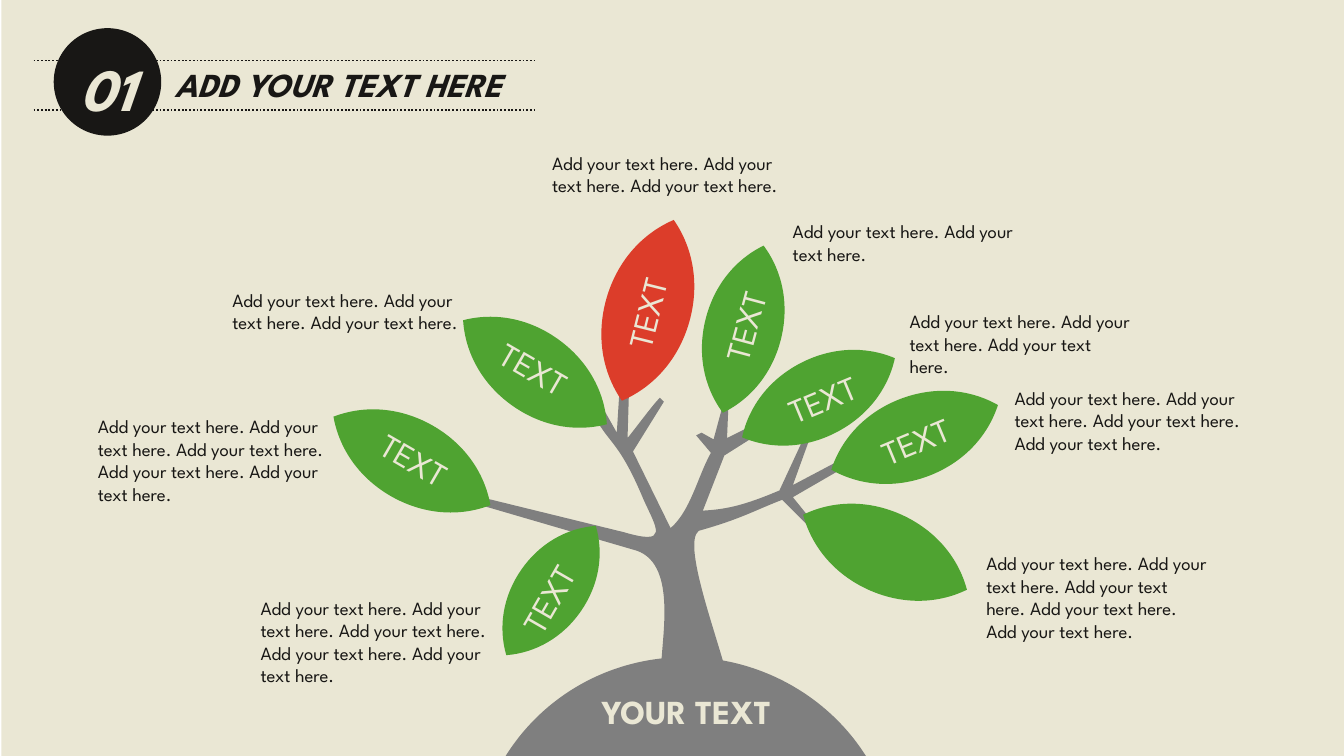
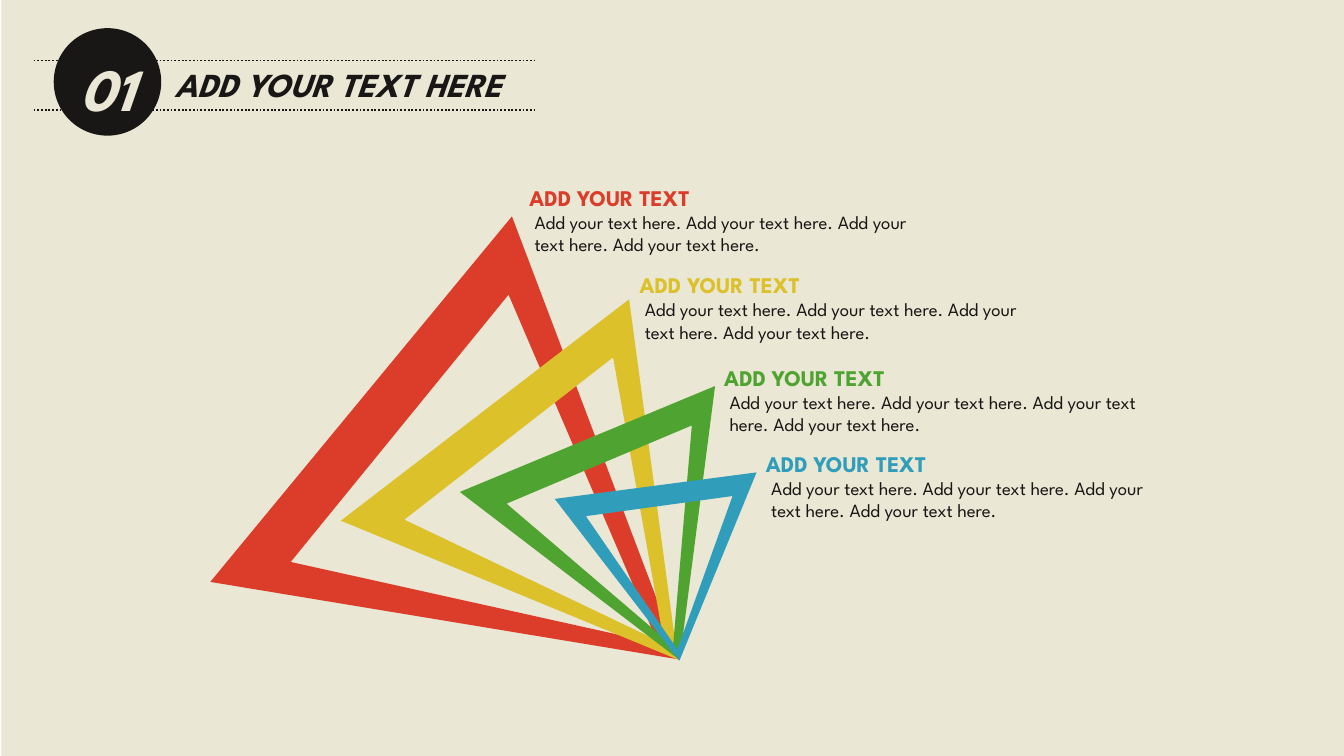
"""Build a tree diagram slide and a nested triangle slide."""
from dataclasses import dataclass

from lxml.etree import SubElement
from pptx import Presentation
from pptx.dml.color import RGBColor as Rgb
from pptx.enum.dml import MSO_LINE as Dash
from pptx.enum.shapes import MSO_CONNECTOR as Link, MSO_SHAPE as Kind
from pptx.enum.text import MSO_AUTO_SIZE as Auto
from pptx.oxml.ns import qn
from pptx.util import Cm, Pt


@dataclass(frozen=True)
class Theme:
    font: str = "League Spartan"
    cream: str = "EAE7D4"
    ink: str = "181715"
    gray: str = "7F7F7F"
    red: str = "DC3D2A"
    gold: str = "DCC12A"
    green: str = "4FA331"
    blue: str = "309EBA"
    body: int = 10
    head: int = 12
    title: int = 18
    number: int = 32


LOOK = Theme()
TITLE, NUMBER = "ADD YOUR TEXT HERE", "01"
PHRASE, TAG, ROOT, HEAD = "Add your text here.", "TEXT", "YOUR TEXT", "ADD YOUR TEXT"
UNIT = (0, 0, 1, 1)
TALL = {2: 0.44, 3: 0.6, 4: 0.77, 5: 0.77}

TREE = [
    (4.92, 4.98), (4.92, 4.75, 5.05, 4.17, 4.71, 4.09), (3.58, 3.76), (3.58, 3.7),
    (4.64, 3.96), (4.98, 4.06, 4.89, 3.94, 4.79, 3.72),
    (4.61, 3.29, 4.54, 3.31, 4.43, 3.11), (4.5, 3.06), (4.59, 3.22), (4.61, 2.9),
    (4.68, 2.92), (4.67, 3.26), (4.75, 3.16, 4.86, 3.01, 4.91, 2.96), (4.94, 2.99),
    (4.71, 3.36), (4.99, 3.93), (5.14, 3.8, 5.19, 3.55, 5.29, 3.37), (5.18, 3.24),
    (5.22, 3.22), (5.31, 3.27), (5.38, 3.01), (5.42, 3.03), (5.41, 3.26),
    (5.57, 3.18), (5.58, 3.27), (5.39, 3.39), (5.23, 3.8),
    (5.41, 3.79, 5.54, 3.76, 5.8, 3.65), (5.99, 3.24), (6.03, 3.25), (5.9, 3.61),
    (6.24, 3.43), (6.28, 3.48), (5.9, 3.7), (6.11, 3.96), (6.08, 3.98),
    (5.82, 3.72), (5.61, 3.8, 5.52, 3.86, 5.2, 3.95),
    (5.08, 4.04, 5.31, 4.66, 5.4, 4.99),
]
DOME = [(3.73, 5.68), (4.01, 5.19, 4.53, 4.89, 5.1, 4.89),
        (5.66, 4.89, 6.19, 5.19, 6.47, 5.67)]
LEAF = [(0.5, 0), (0.82, 0.12, 1, 0.3, 1, 0.5), (1, 0.7, 0.82, 0.88, 0.5, 1),
        (0.18, 0.88, 0, 0.7, 0, 0.5), (0, 0.3, 0.18, 0.12, 0.5, 0)]
FRAME = [[(0.52, 0.19), (0.16, 0.92), (0.95, 0.97)], [(0.5, 0), (1, 1), (0, 1)]]

# leaf box, leaf turn, fill, tag place and turn, note place, width and phrase count
LEAVES = [
    ((4.5, 1.61, 0.64, 1.4), 16, LOOK.red, (4.44, 2.11, 284), (4.01, 1.08, 1.88, 3)),
    ((3.83, 3.81, 0.54, 1.17), 34.7, LOOK.green, (3.71, 4.24, 300), (1.84, 4.39, 1.88, 5)),
    ((5.24, 1.81, 0.58, 1.28), 13.7, LOOK.green, (5.17, 2.21, 285), (5.8, 1.59, 1.88, 2)),
    ((6.5, 2.59, 0.61, 1.33), 68.8, LOOK.green, (6.45, 3.07, 337.4), (7.45, 2.83, 1.88, 4)),
    ((6.28, 3.44, 0.61, 1.34), 114.6, LOOK.green, None, (7.24, 4.06, 1.87, 5)),
    ((5.8, 2.32, 0.58, 1.28), 242.6, LOOK.green, (5.76, 2.76, 337.4), (6.67, 2.26, 1.87, 3)),
    ((3.68, 2.11, 0.6, 1.32), 125.9, LOOK.green, (3.61, 2.55, 30), (1.63, 2.1, 1.88, 3)),
    ((2.76, 2.76, 0.61, 1.34), 119.4, LOOK.green, (2.72, 3.23, 30), (0.63, 3.04, 1.88, 5)),
]
RINGS = [
    ((1.79, 1.59, 3.54, 3.05), 9.4, LOOK.red, (3.84, 1.32), 3.2),
    ((2.88, 2.14, 2.71, 2.34), 22.4, LOOK.gold, (4.66, 1.97), 3.16),
    ((3.75, 2.69, 2.06, 1.78), 37.4, LOOK.green, (5.29, 2.66), 3.23),
    ((4.35, 3.26, 1.52, 1.31), 52.4, LOOK.blue, (5.6, 3.3), 3.16),
]


def inch(n):
    return Cm(2.54 * n)


def paint(shape, fill):
    shape.shadow.inherit = False
    shape.fill.solid()
    shape.fill.fore_color.rgb = Rgb.from_string(fill)
    shape.line.fill.background()


def block(slide, kind, box, fill):
    paint(slide.shapes.add_shape(kind, *map(inch, box)), fill)


def draw(slide, loops, box, fill, turn=0):
    left, top, wide, high = box

    def place(x, y):
        return inch(left + x * wide), inch(top + y * high)

    pen = slide.shapes.build_freeform(*place(*loops[0][0]), scale=1)
    for i, loop in enumerate(loops):
        if i:
            pen.move_to(*place(*loop[0]))
        dots = [place(*seg[k:k + 2]) for seg in loop[1:] for k in range(0, len(seg), 2)]
        pen.add_line_segments(dots, close=True)
    form = pen.convert_to_shape()
    steps = iter(list(form.element.iter(qn("a:lnTo"))))
    for seg in (seg for loop in loops for seg in loop[1:]):
        step = next(steps)
        if len(seg) == 6:
            step.tag = qn("a:cubicBezTo")
            for _ in range(2):
                spare = next(steps)
                step.append(spare[0])
                spare.getparent().remove(spare)
    form.rotation = turn
    paint(form, fill)
    return form


def write(slide, text, box, size, color, bold=False, slant=False, wrap=False, turn=0):
    area = slide.shapes.add_textbox(*map(inch, box))
    area.rotation = turn
    frame = area.text_frame
    frame.word_wrap = wrap
    frame.auto_size = Auto.SHAPE_TO_FIT_TEXT
    frame.text = text
    font = frame.paragraphs[0].font
    font.name, font.size = LOOK.font, Pt(size)
    font.bold, font.italic = bold, slant
    font.color.rgb = Rgb.from_string(color)


def note(slide, x, y, wide, high, count):
    text = " ".join([PHRASE] * count)
    write(slide, text, (x, y, wide, high), LOOK.body, LOOK.ink, wrap=True)


def base(deck):
    slide = deck.slides.add_slide(deck.slide_layouts[6])
    block(slide, Kind.RECTANGLE, (0.01, 0, 9.99, 5.64), LOOK.cream)
    for y in (0.45, 0.82):
        rule = slide.shapes.add_connector(Link.STRAIGHT, *map(inch, (0.25, y, 3.98, y)))
        rule.line.color.rgb = Rgb.from_string(LOOK.ink)
        rule.line.width = Pt(1)
        rule.line.dash_style = Dash.ROUND_DOT
        SubElement(rule.element.spPr, qn("a:effectLst"))
    block(slide, Kind.OVAL, (0.4, 0.21, 0.8, 0.8), LOOK.ink)
    write(slide, TITLE, (1.2, 0.43, 2.69, 0.4), LOOK.title, LOOK.ink, True, True)
    write(slide, NUMBER, (0.49, 0.34, 0.69, 0.64), LOOK.number, LOOK.cream, True, True)
    return slide


def grow(deck):
    slide = base(deck)
    slide.shapes.add_group_shape([draw(slide, [part], UNIT, LOOK.gray) for part in (TREE, DOME)])
    for box, turn, fill, tag, (x, y, wide, count) in LEAVES:
        draw(slide, [LEAF], box, fill, turn)
        if tag:
            write(slide, TAG, (*tag[:2], 0.76, 0.4), LOOK.title, LOOK.cream, turn=tag[2])
        note(slide, x, y, wide, TALL[count], count)
    write(slide, ROOT, (4.38, 5.09, 1.57, 0.4), LOOK.title, LOOK.cream, True)


def nest(deck):
    slide = base(deck)
    for box, turn, fill, (x, y), wide in RINGS:
        draw(slide, FRAME, box, fill, turn)
        write(slide, HEAD, (x, y, 1.52, 0.3), LOOK.head, fill, True)
        note(slide, x + 0.04, y + 0.2, wide, 0.44, 4)


def main():
    deck = Presentation()
    deck.slide_width, deck.slide_height = Cm(25.4), Cm(14.29)
    grow(deck)
    nest(deck)
    deck.save("out.pptx")


if __name__ == "__main__":
    main()
